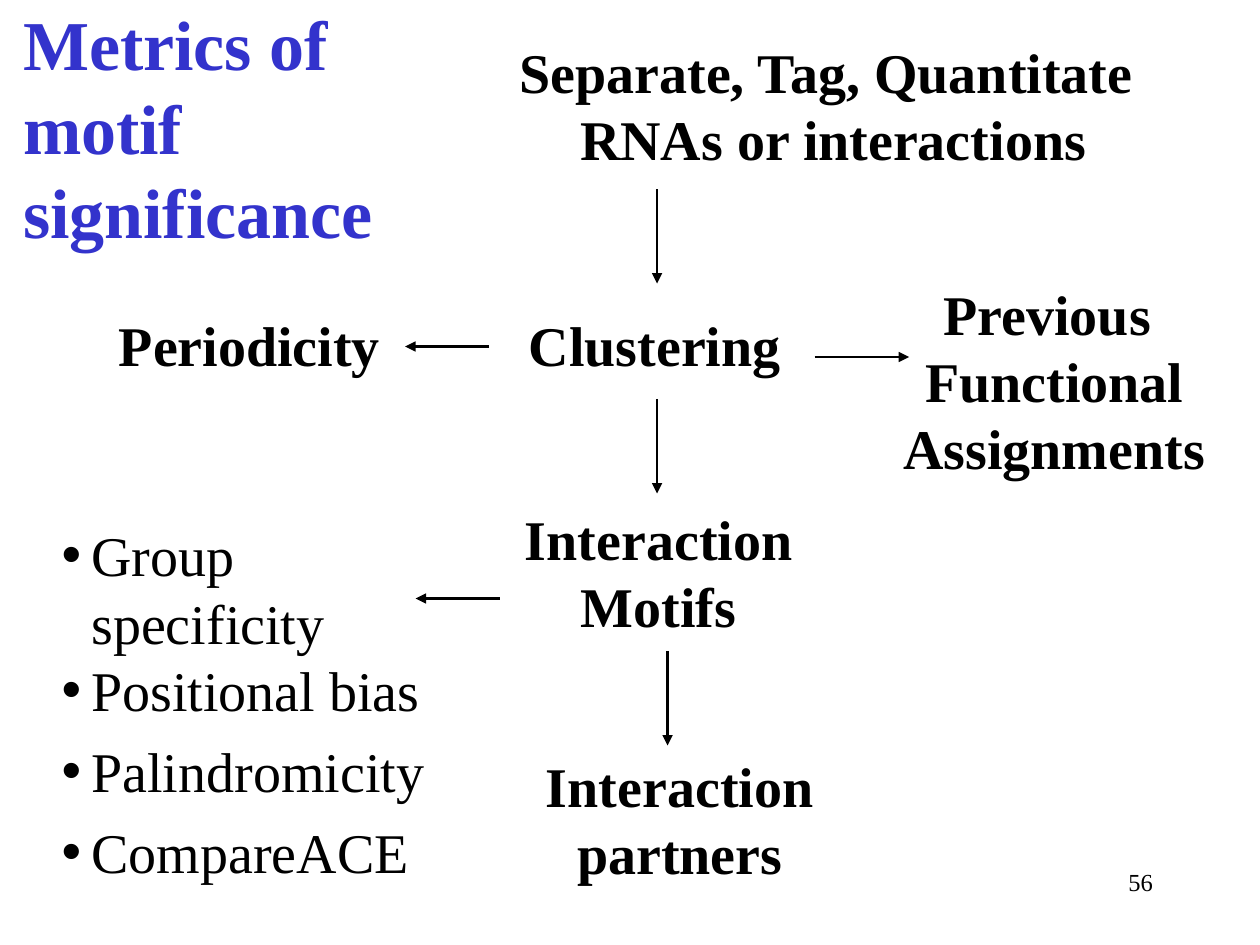
from dataclasses import dataclass

from lxml import etree
from pptx import Presentation
from pptx.dml.color import RGBColor
from pptx.enum.shapes import MSO_CONNECTOR
from pptx.enum.text import MSO_ANCHOR, MSO_AUTO_SIZE, PP_ALIGN
from pptx.oxml.ns import qn
from pptx.util import Pt

LEFT, CENTER, RIGHT = PP_ALIGN.LEFT, PP_ALIGN.CENTER, PP_ALIGN.RIGHT
MIDDLE, TOP = MSO_ANCHOR.MIDDLE, MSO_ANCHOR.TOP
FIXED = MSO_AUTO_SIZE.NONE
STRAIGHT = MSO_CONNECTOR.STRAIGHT


@dataclass(frozen=True)
class Theme:
    font: str = "Times New Roman"
    ink: RGBColor = RGBColor(0x00, 0x00, 0x00)
    accent: RGBColor = RGBColor(0x33, 0x33, 0xCC)
    title: int = 40
    body: int = 32
    small: int = 14
    line: float = 1.5


theme = Theme()


def write(shape, box, text, size, color=theme.ink, bold=False,
          align=LEFT, wrap=True, anchor=TOP):
    """Place the shape and fill it with formatted paragraphs."""
    shape.left, shape.top, shape.width, shape.height = map(Pt, box)
    frame = shape.text_frame
    frame.text = text
    frame.word_wrap = wrap
    frame.auto_size = FIXED
    frame.vertical_anchor = anchor
    for para in frame.paragraphs:
        para.alignment = align
        para.space_before = Pt(0)
        for run in para.runs:
            font = run.font
            font.name, font.size, font.bold = theme.font, Pt(size), bold
            font.color.rgb = color


deck = Presentation()
deck.slide_width, deck.slide_height = Pt(720), Pt(540)
slide = deck.slides.add_slide(deck.slide_layouts[1])
shapes = slide.shapes

write(shapes.title, (6, 6, 234, 132), "Metrics of motif significance",
      theme.title, theme.accent, bold=True, anchor=MIDDLE)

# Bulleted list of metrics
metrics = ["Group specificity", "Positional bias", "Palindromicity", "CompareACE"]
body = slide.placeholders[1]
write(body, (28, 294, 248.5, 177), "\n".join(metrics), theme.body)
for i, para in enumerate(body.text_frame.paragraphs):
    para.space_before = Pt(8 if i > 1 else 0)
    props = para._p.get_or_add_pPr()
    props.set("marL", str(Pt(17)))
    props.set("indent", str(Pt(-17)))
    etree.SubElement(props, qn("a:buChar"), char="•")

# Steps of the flow
steps = [
    ("Separate, Tag, Quantitate \nRNAs or interactions", (288, 18, 376.5, 84)),
    ("Periodicity", (61, 174, 163.5, 46)),
    ("Clustering", (295, 174, 158.5, 46)),
    ("Previous \nFunctional\nAssignments", (509, 156, 187, 122.5)),
    ("Interaction\nMotifs", (293, 284.5, 167, 84)),
    ("Interaction\npartners", (305, 426, 167, 84)),
]
for text, box in steps:
    write(shapes.add_textbox(0, 0, 0, 0), box, text, theme.body,
          bold=True, align=CENTER, wrap=False)

write(shapes.add_textbox(0, 0, 0, 0), (516, 492, 150, 36), "56",
      theme.small, align=RIGHT)

# Arrows as start point and reach
arrows = [
    (375.5, 108, 0, 54),
    (375.5, 228, 0, 54),
    (381.5, 372, 0, 54),
    (279.5, 198, -48, 0),
    (285.5, 342, -48, 0),
    (465.5, 204, 54, 0),
]
for x, y, dx, dy in arrows:
    arrow = shapes.add_connector(STRAIGHT, Pt(x), Pt(y), Pt(x + dx), Pt(y + dy))
    arrow.line.color.rgb = theme.ink
    arrow.line.width = Pt(theme.line)
    etree.SubElement(arrow.line._get_or_add_ln(), qn("a:tailEnd"), type="triangle")
    etree.SubElement(arrow._element.spPr, qn("a:effectLst"))

deck.save("out.pptx")
